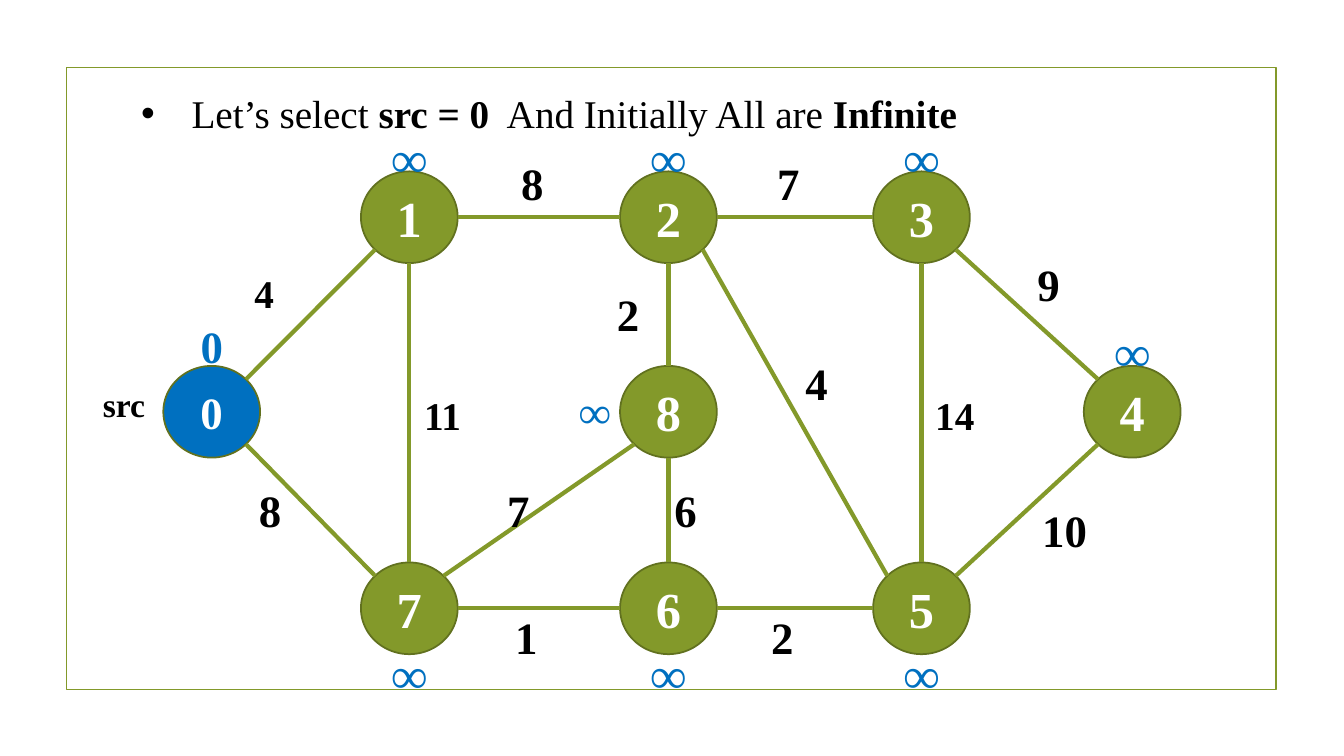
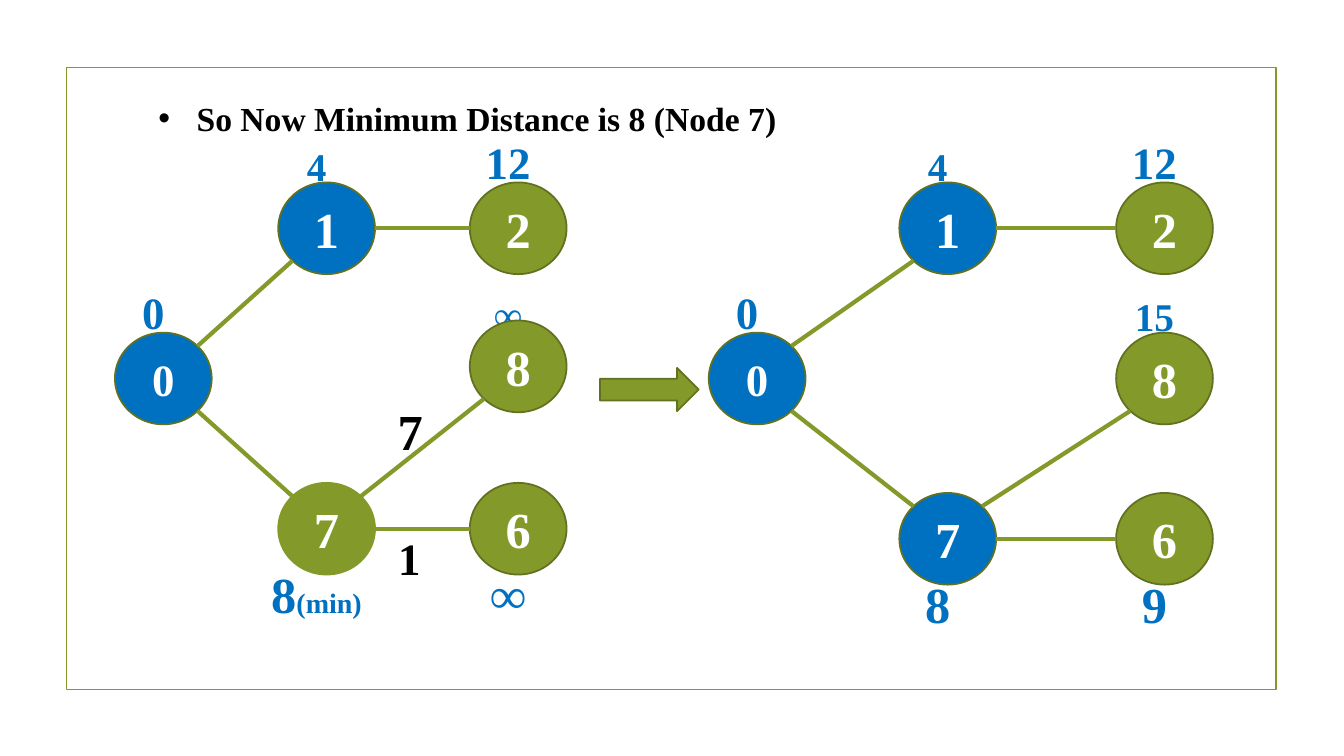
from math import atan2, cos, pi, sin

from lxml.etree import SubElement
from pptx import Presentation
from pptx.dml.color import RGBColor
from pptx.enum.shapes import MSO_CONNECTOR, MSO_SHAPE
from pptx.enum.text import MSO_ANCHOR, MSO_AUTO_SIZE, PP_ALIGN
from pptx.oxml.ns import qn
from pptx.util import Pt

PX = 9144  # 100 px to the inch
FONT = "Times New Roman"
OLIVE, DARK_OLIVE, BLUE = "83992A", "61711F", "0070C0"
BLACK, WHITE = "000000", "FFFFFF"
NODE_W, NODE_H = 96, 91
LABEL_W = 160

# Where a weight stands from the middle of its edge: right, down, font size
SIDES = {
    "N": (-6, -33, 32), "S": (-13, 29, 32), "W": (-40, 0, 32), "E": (33, 2, 28),
    "NW": (-46, -22, 28), "NE": (21, -30, 32), "SE": (38, 20, 32),
    "close": (17, 0, 32), "on": (-20, 0, 32), "over": (-12, -16, 36),
}

# A graph is drawn on a grid: each row has its top and one character per column
STEPS = [
    {
        "heading": [("Let’s select ", False), ("src = 0", True),
                    ("  And Initially All are ", False), ("Infinite", True)],
        "heading_box": (130, 84, 933),
        "heading_size": 28,
        "indent": 50,
        "distances_behind": False,
        "shift": 0,
        "graphs": [{
            "columns": (162, 358, 615, 866, 1075),
            "rows": {170: ".123.", 363: "0.8.4", 558: ".765."},
            "visited": "0", "nearest": "", "beside": "8",
            "edges": ["0 1 4 NW", "1 2 8 N", "2 3 7 N", "3 4 9 NE", "0 7 8 W",
                      "7 6 1 S", "6 5 2 S", "5 4 10 SE", "1 7 11 E", "7 8 7 on",
                      "2 8 2 W", "8 6 6 close", "2 5 4 NE", "5 3 14 E"],
            "distances": {36: "1:∞ 2:∞ 3:∞ 4:∞ 5:∞ 6:∞ 7:∞", 32: "0:0 8:∞"},
        }],
        "source": (123, 401),
    },
    {
        "heading": [("So Now Minimum Distance is 8 (Node 7)", True)],
        "heading_box": (147, 92, 678),
        "heading_size": 24,
        "indent": 38,
        "distances_behind": True,
        "shift": -10,
        "graphs": [
            {
                "columns": (114, 276, 466),
                "rows": {181: ".12", 318: "..8", 330: "0..", 479: ".76"},
                "visited": "01", "nearest": "7", "beside": "",
                "edges": ["0 1", "0 7", "1 2", "7 6 1 S", "7 8 7 over"],
                "distances": {28: "1:4 8:∞", 32: "0:0 2:12", 36: "6:∞ 7:8"},
            },
            {
                "columns": (703, 892, 1107),
                "rows": {181: ".12", 330: "0.8", 489: ".76"},
                "visited": "017", "nearest": "", "beside": "",
                "edges": ["0 1", "0 7", "1 2", "7 6", "7 8"],
                "distances": {28: "1:4 8:15", 32: "0:0 2:12", 36: "6:9 7:8"},
            },
        ],
        "arrow": (595, 365, 98, 43),
    },
]


def write(paragraph, pieces, color):
    """Fill a paragraph with runs given as (text, size, bold)."""
    for text, size, bold in pieces:
        run = paragraph.add_run()
        run.text = text
        run.font.name = FONT
        run.font.size = Pt(size)
        run.font.bold = bold
        run.font.color.rgb = RGBColor.from_string(color)


def add_outlined(slide, preset, box, fill, outline):
    shape = slide.shapes.add_shape(preset, *(v * PX for v in box))
    shape.shadow.inherit = False
    if fill:
        shape.fill.solid()
        shape.fill.fore_color.rgb = RGBColor.from_string(fill)
    else:
        shape.fill.background()
    shape.line.color.rgb = RGBColor.from_string(outline)
    shape.line.width = Pt(1.25)
    return shape


prs = Presentation()
prs.slide_width, prs.slide_height = 1333 * PX, 750 * PX
layout = prs.slide_layouts[1]
frame = None

for step in STEPS:
    slide = prs.slides.add_slide(layout)
    title, heading = slide.placeholders
    title.element.getparent().remove(title.element)

    # The frame belongs to the layout, so both slides share it
    if frame is None:
        frame = add_outlined(slide, MSO_SHAPE.RECTANGLE, (66, 67, 1200, 617), None, OLIVE)
        layout.shapes.element.append(frame.element)

    heading.left, heading.top, heading.width = (v * PX for v in step["heading_box"])
    heading.height = 57 * PX
    heading.text_frame.auto_size = MSO_AUTO_SIZE.NONE
    line = heading.text_frame.paragraphs[0]
    line.space_before = Pt(0)
    properties = line._p.get_or_add_pPr()
    properties.set("marL", str(step["indent"] * PX))
    properties.set("indent", str(-step["indent"] * PX))
    write(line, [(text, step["heading_size"], bold) for text, bold in step["heading"]], BLACK)

    # Labels are (pieces, centre x, centre y, colour)
    weights, distances, ovals, edges = [], [], [], []
    for graph in step["graphs"]:
        centers = {}
        for top, row in graph["rows"].items():
            for left, number in zip(graph["columns"], row):
                if number != ".":
                    centers[number] = (left + NODE_W / 2, top + NODE_H / 2)
                    fill = BLUE if number in graph["visited"] else OLIVE
                    outline = OLIVE if number in graph["nearest"] else DARK_OLIVE
                    ovals.append((number, left, top, fill, outline))

        for entry in graph["edges"]:
            start, end, *weight = entry.split()
            (x1, y1), (x2, y2) = centers[start], centers[end]
            # Edges touch the ovals at the nearest of eight directions
            angle = round(atan2(y2 - y1, x2 - x1) / (pi / 4)) * pi / 4
            dx, dy = cos(angle) * NODE_W / 2, sin(angle) * NODE_H / 2
            edges.append((x1 + dx, y1 + dy, x2 - dx, y2 - dy))
            if weight:
                text, side = weight
                right, down, size = SIDES[side]
                weights.append(([(text, size, True)],
                                (x1 + x2) / 2 + right, (y1 + y2) / 2 + down, BLACK))

        # Distances stand above their nodes, but below those of the last row
        last_row = list(graph["rows"].values())[-1]
        for size, entries in graph["distances"].items():
            for entry in entries.split():
                number, text = entry.split(":")
                x, y = centers[number]
                half_height = size * 0.875 + 4
                if number in graph["beside"]:
                    x -= NODE_W / 2 + 25
                elif number in last_row:
                    y += NODE_H / 2 + half_height - 16
                else:
                    y -= NODE_H / 2 + half_height - (22 if text == "∞" else 12)
                pieces = [(text, size, True)]
                if number in graph["nearest"]:
                    pieces.append(("(min)", 20, True))
                distances.append((pieces, x + step["shift"], y, BLUE))

    if "source" in step:
        weights.append(([("src", 24, True)], *step["source"], BLACK))

    layers = ["graph", weights, distances]
    if step["distances_behind"]:
        layers = [distances, "graph", weights]

    for layer in layers:
        if layer == "graph":
            for number, left, top, fill, outline in ovals:
                node = add_outlined(slide, MSO_SHAPE.OVAL,
                                    (left, top, NODE_W, NODE_H), fill, outline)
                node.text_frame.vertical_anchor = MSO_ANCHOR.MIDDLE
                caption = node.text_frame.paragraphs[0]
                caption.alignment = PP_ALIGN.CENTER
                write(caption, [(number, 32 if number == "0" else 36, True)], WHITE)
            for ends in edges:
                edge = slide.shapes.add_connector(
                    MSO_CONNECTOR.STRAIGHT, *(round(v * PX) for v in ends))
                edge.line.color.rgb = RGBColor.from_string(OLIVE)
                edge.line.width = Pt(3)
                SubElement(edge.element.spPr, qn("a:effectLst"))
            continue
        for pieces, x, y, color in layer:
            height = round(pieces[0][1] * 1.75 + 8)
            box = (x - LABEL_W / 2, y - height / 2, LABEL_W, height)
            label = slide.shapes.add_textbox(*(round(v) * PX for v in box))
            label.text_frame.word_wrap = True
            label.text_frame.paragraphs[0].alignment = PP_ALIGN.CENTER
            write(label.text_frame.paragraphs[0], pieces, color)

    if "arrow" in step:
        add_outlined(slide, MSO_SHAPE.RIGHT_ARROW, step["arrow"], OLIVE, DARK_OLIVE)

prs.save("out.pptx")
